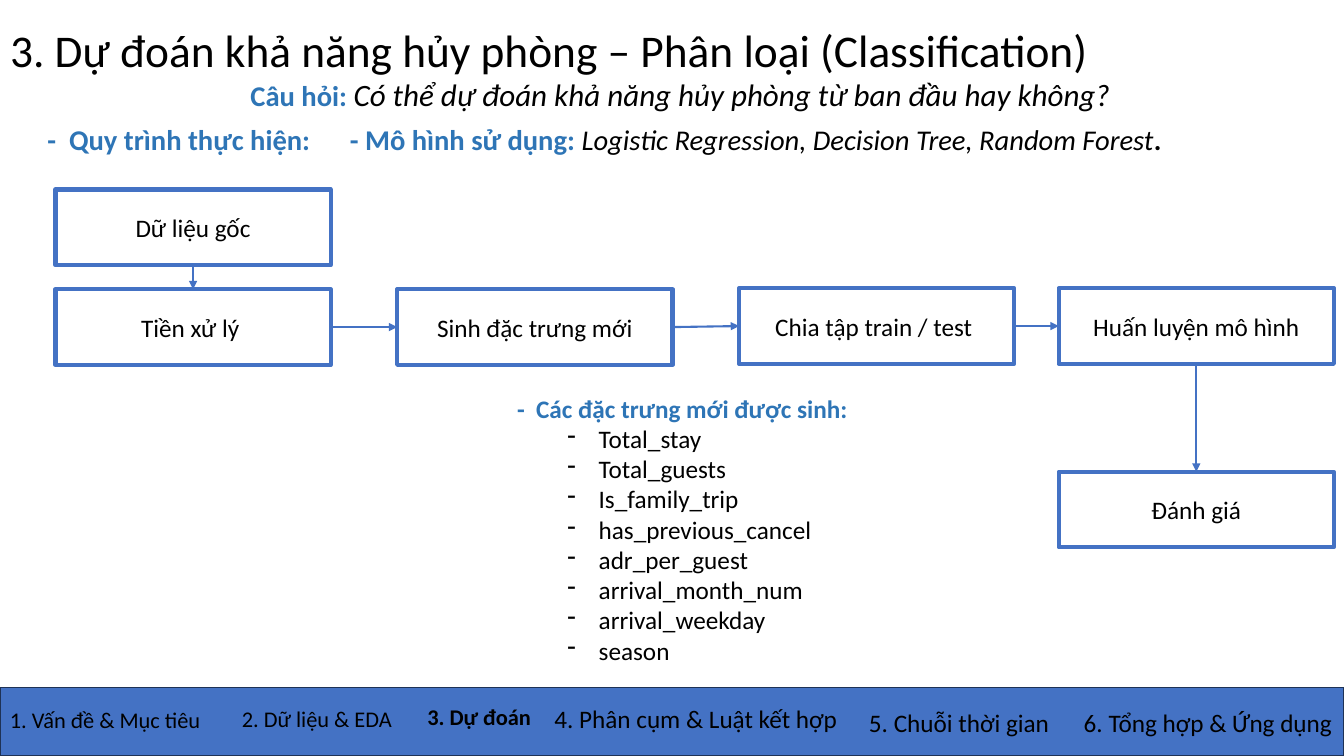
from lxml import etree
from pptx import Presentation
from pptx.dml.color import RGBColor
from pptx.enum.shapes import MSO_CONNECTOR, MSO_SHAPE
from pptx.enum.text import MSO_ANCHOR, MSO_AUTO_SIZE, PP_ALIGN
from pptx.oxml.ns import qn
from pptx.util import Inches, Pt

RECT = MSO_SHAPE.RECTANGLE
STRAIGHT = MSO_CONNECTOR.STRAIGHT
LEFT, CENTER = PP_ALIGN.LEFT, PP_ALIGN.CENTER
MIDDLE = MSO_ANCHOR.MIDDLE
FIT_SHAPE, NO_FIT = MSO_AUTO_SIZE.SHAPE_TO_FIT_TEXT, MSO_AUTO_SIZE.NONE
TOP_SITE, LEFT_SITE, BOTTOM_SITE, RIGHT_SITE = range(4)

BLACK, WHITE = "000000", "FFFFFF"
BLUE, NAVY, HEADING = "4472C4", "1E3256", "2E75B6"


def rgb(value):
    return RGBColor.from_string(value)


class SlideBuilder:
    font = "Calibri"

    def __init__(self, slide):
        self.s = slide

    def run(self, p, text, size=18, color=BLACK, **fmt):
        r = p.add_run()
        r.text = text
        for name, value in {"name": self.font, "size": Pt(size), **fmt}.items():
            setattr(r.font, name, value)
        r.font.color.rgb = rgb(color)

    def paragraph(self, p, runs, **fmt):
        for name, value in fmt.items():
            setattr(p, name, value)
        for text, run_fmt in runs:
            self.run(p, text, **run_fmt)

    def place(self, sp, left, top, width, height):
        box = {"left": left, "top": top, "width": width, "height": height}
        for name, value in box.items():
            setattr(sp, name, Inches(value))
        sp.text_frame.auto_size = NO_FIT
        sp.text_frame.word_wrap = True
        return sp.text_frame

    def textbox(self, left, top, width, height):
        box = [Inches(v) for v in (left, top, width, height)]
        tf = self.s.shapes.add_textbox(*box).text_frame
        tf.word_wrap = True
        tf.auto_size = FIT_SHAPE
        return tf

    def rect(self, left, top, width, height, fill, line, weight, text=None):
        box = [Inches(v) for v in (left, top, width, height)]
        sp = self.s.shapes.add_shape(RECT, *box)
        sp.shadow.inherit = False
        sp.fill.solid()
        sp.fill.fore_color.rgb = rgb(fill)
        sp.line.color.rgb = rgb(line)
        sp.line.width = Pt(weight)
        if text:
            sp.text_frame.vertical_anchor = MIDDLE
            self.paragraph(sp.text_frame.paragraphs[0], [(text, {})], alignment=CENTER)
        return sp

    def arrow(self, start, start_site, end, end_site):
        c = self.s.shapes.add_connector(STRAIGHT, 0, 0, 0, 0)
        c.begin_connect(start, start_site)
        c.end_connect(end, end_site)
        c.line.color.rgb = rgb(BLUE)
        c.line.width = Pt(1.5)
        etree.SubElement(c.line._get_or_add_ln(), qn("a:tailEnd"), type="triangle")
        etree.SubElement(c._element.spPr, qn("a:effectLst"))

    def bullet(self, p, char=None, margin=0, indent=0):
        pPr = p._p.get_or_add_pPr()
        pPr.set("marL", str(Inches(margin)))
        pPr.set("indent", str(Inches(indent)))
        if char:
            etree.SubElement(pPr, qn("a:buChar"), char=char)
        else:
            etree.SubElement(pPr, qn("a:buNone"))

    def tab_stop(self, p, position):
        tabs = etree.SubElement(p._p.get_or_add_pPr(), qn("a:tabLst"))
        etree.SubElement(tabs, qn("a:tab"), pos=str(Inches(position)), algn="l")


def main():
    prs = Presentation()
    prs.slide_width, prs.slide_height = Inches(13.33), Inches(7.5)
    s = prs.slides.add_slide(prs.slide_layouts[1])
    b = SlideBuilder(s)

    # Title
    tf = b.place(s.shapes.title, 0, 0, 11.2, 1.04)
    tf.vertical_anchor = MIDDLE
    title = "3. Dự đoán khả năng hủy phòng – Phân loại (Classification)"
    b.paragraph(tf.paragraphs[0], [(title, {"size": 32.4})],
                alignment=LEFT, line_spacing=0.9)

    # Question, process and models
    tf = b.place(s.placeholders[1], 0.37, 0.75, 12.76, 1.04)
    label = {"size": 20.4, "color": HEADING, "bold": True}
    question = [
        ("Câu hỏi: ", label),
        ("Có thể dự đoán khả năng hủy phòng từ ban đầu hay không?",
         {"size": 22.2, "italic": True}),
    ]
    models = [
        ("-  Quy trình thực hiện:\t- Mô hình sử dụng: ", label),
        ("Logistic Regression, Decision Tree, Random Forest",
         {"size": 20.4, "italic": True}),
        (".", {"size": 20.4, "bold": True}),
    ]
    spacing = {"line_spacing": 0.87, "space_before": Pt(10)}
    intro, process = tf.paragraphs[0], tf.add_paragraph()
    for p, runs, align in ((intro, question, CENTER), (process, models, LEFT)):
        b.paragraph(p, runs, alignment=align, **spacing)
        b.bullet(p)
    b.tab_stop(process, 4.64)

    # Navigation bar
    b.rect(0, 6.82, 13.33, 0.68, BLUE, NAVY, 1)
    sections = [
        ("1. Vấn đề & Mục tiêu", 0, 6.96, 2.41, 16),
        ("2. Dữ liệu & EDA", 2.3, 6.95, 1.95, 16),
        ("3. Dự đoán", 4.14, 6.93, 1.61, 16),
        ("4. Phân cụm & Luật kết hợp", 5.4, 6.93, 3.16, 18),
        ("5. Chuỗi thời gian", 8.52, 6.97, 2.41, 18),
        ("6. Tổng hợp & Ứng dụng", 10.65, 6.97, 2.68, 18),
    ]
    for text, left, top, width, size in sections:
        tf = b.textbox(left, top, width, 0.4 if size == 18 else 0.37)
        fmt = {"size": size, "bold": text.startswith("3.")}
        b.paragraph(tf.paragraphs[0], [(text, fmt)])

    # Process steps
    steps = [
        ("Dữ liệu gốc", 0.55, 1.88),
        ("Tiền xử lý ", 0.55, 2.87),
        ("Sinh đặc trưng mới", 3.94, 2.87),
        ("Chia tập train / test ", 7.33, 2.86),
        ("Huấn luyện mô hình", 10.5, 2.86),
        ("Đánh giá", 10.5, 4.68),
    ]
    boxes = [b.rect(left, top, 2.73, 0.75, WHITE, BLUE, 3, text)
             for text, left, top in steps]
    for start, end in zip(boxes, boxes[1:]):
        if start.left == end.left:
            b.arrow(start, BOTTOM_SITE, end, TOP_SITE)
        else:
            b.arrow(start, RIGHT_SITE, end, LEFT_SITE)

    # New features
    tf = b.textbox(5.03, 3.85, 5.46, 2.83)
    heading = ("-  Các đặc trưng mới được sinh:", {"color": HEADING, "bold": True})
    b.paragraph(tf.paragraphs[0], [heading])
    features = ["Total_stay", "Total_guests", "Is_family_trip", "has_previous_cancel",
                "adr_per_guest", "arrival_month_num", "arrival_weekday", "season"]
    for feature in features:
        p = tf.add_paragraph()
        b.paragraph(p, [(feature, {})], level=1)
        b.bullet(p, "-", 0.81, -0.31)

    prs.save("out.pptx")


if __name__ == "__main__":
    main()
